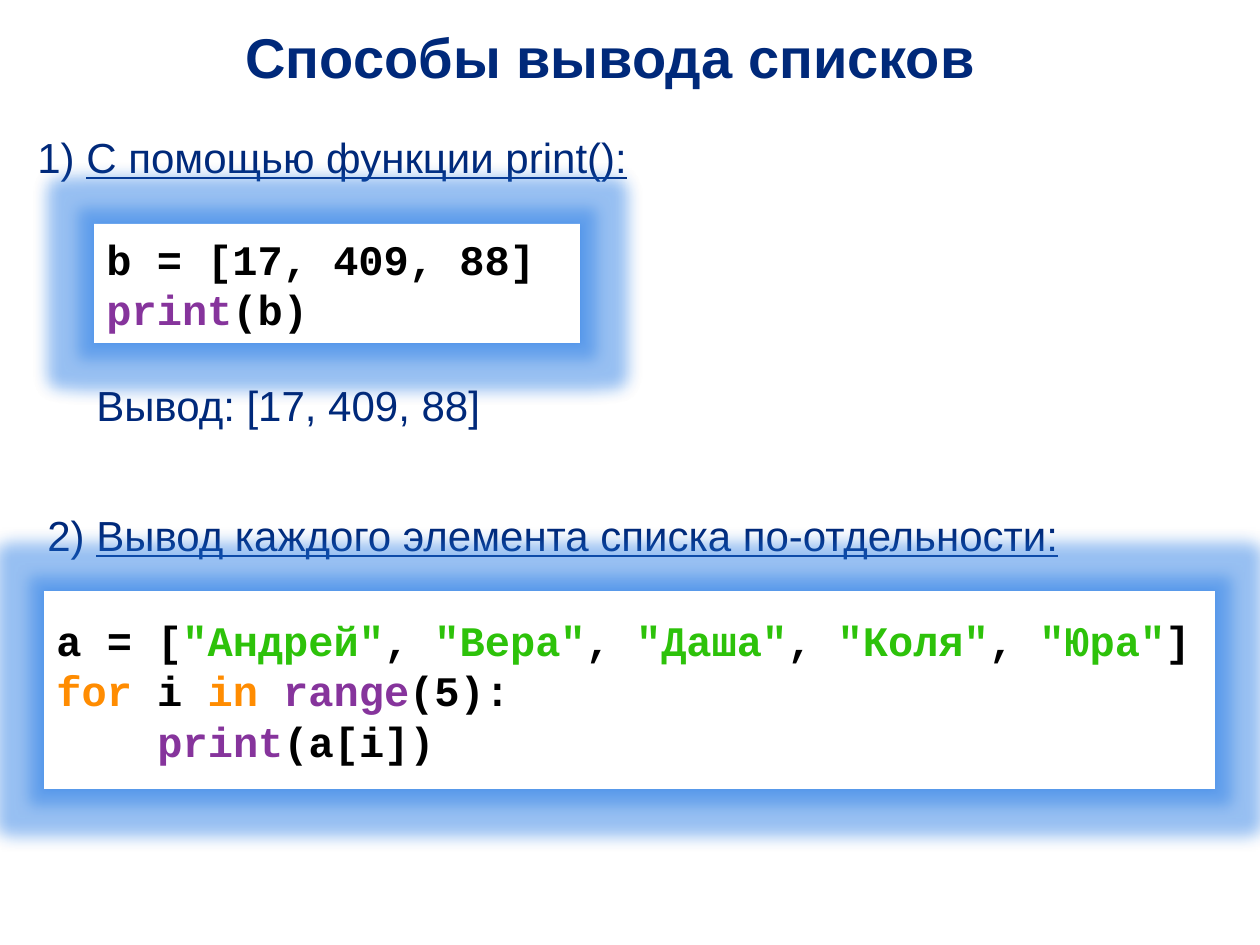
from lxml.etree import SubElement
from pptx import Presentation
from pptx.dml.color import RGBColor
from pptx.enum.shapes import MSO_SHAPE
from pptx.enum.text import MSO_ANCHOR, PP_ALIGN
from pptx.oxml.ns import qn
from pptx.util import Pt

PIXEL = 914400 // 126
NAVY, BLACK, WHITE = "00297A", "000000", "FFFFFF"
PURPLE, GREEN, ORANGE = "86349C", "2DC20A", "FF8C01"
HALO = "1E76E4"
INDENT = 101


def px(length):
    """Turn pixels into EMU."""
    return length * PIXEL


def color(value):
    """Turn a hex string into a colour."""
    return RGBColor.from_string(value)


def add_text(para, text, size=24, face="Arial", ink=NAVY, bold=False, underline=False):
    """Add a formatted span to a paragraph."""
    span = para.add_run()
    span.text = text
    font = span.font
    font.size, font.name, font.bold, font.underline = Pt(size), face, bold, underline
    font.color.rgb = color(ink)


def add_line(page, bounds, spans, **style):
    """Place one line of text made of (text, underline) spans."""
    box = page.shapes.add_textbox(*map(px, bounds))
    box.text_frame.word_wrap = True
    for text, underline in spans:
        add_text(box.text_frame.paragraphs[0], text, underline=underline, **style)


def add_halo(box):
    """Put a soft blue glow and a tighter shadow around a shape."""
    effects = SubElement(box._element.spPr, qn("a:effectLst"))
    glow = SubElement(effects, qn("a:glow"), rad="228600")
    shadow = SubElement(effects, qn("a:outerShdw"), blurRad="63500", dist="0", algn="ctr", rotWithShape="0")
    for effect in (glow, shadow):
        tint = SubElement(effect, qn("a:srgbClr"), val=HALO)
        SubElement(tint, qn("a:alpha"), val="40000")


def add_code(page, bounds, lines):
    """Place a glowing box of code lines, each an indent level and its spans."""
    box = page.shapes.add_shape(MSO_SHAPE.RECTANGLE, *map(px, bounds))
    box.fill.solid()
    box.fill.fore_color.rgb = color(WHITE)
    box.line.fill.background()
    add_halo(box)
    frame = box.text_frame
    frame.word_wrap = True
    frame.vertical_anchor = MSO_ANCHOR.MIDDLE
    for number, (level, spans) in enumerate(lines):
        para = frame.add_paragraph() if number else frame.paragraphs[0]
        para.alignment = PP_ALIGN.LEFT
        if level:
            para._p.get_or_add_pPr().set("marL", str(px(INDENT * level)))
        for text, ink in spans:
            add_text(para, text, face="Courier New", ink=ink, bold=True)


def name_list(names):
    """Return the coloured spans of a list of quoted names."""
    spans = [("a = [", BLACK)]
    for number, name in enumerate(names):
        if number:
            spans.append((", ", BLACK))
        spans.append((f'"{name}"', GREEN))
    return spans + [("]", BLACK)]


def build_slide(page):
    """Place the title, both methods and their code."""
    add_line(page, (233, 16, 824, 81), [("Способы вывода списков", False)], size=32, bold=True)
    add_line(page, (25, 125, 615, 63), [("1) ", False), ("С помощью функции print():", True)])
    add_code(page, (94, 224, 486, 119), [
        (0, [("b = [17, 409, 88]", BLACK)]),
        (0, [("print", PURPLE), ("(b)", BLACK)]),
    ])
    add_line(page, (84, 373, 427, 63), [("Вывод: [17, 409, 88]", False)])
    add_line(page, (35, 503, 1062, 63), [
        ("2) ", False), ("Вывод каждого элемента списка по-отдельности:", True)])
    add_code(page, (44, 591, 1171, 198), [
        (0, name_list(["Андрей", "Вера", "Даша", "Коля", "Юра"])),
        (0, [("for ", ORANGE), ("i ", BLACK), ("in ", ORANGE), ("range", PURPLE), ("(5):", BLACK)]),
        (1, [("print", PURPLE), ("(a[i])", BLACK)]),
    ])


deck = Presentation()
deck.slide_width, deck.slide_height = px(1260), px(945)
build_slide(deck.slides.add_slide(deck.slide_layouts[6]))
deck.save("out.pptx")
